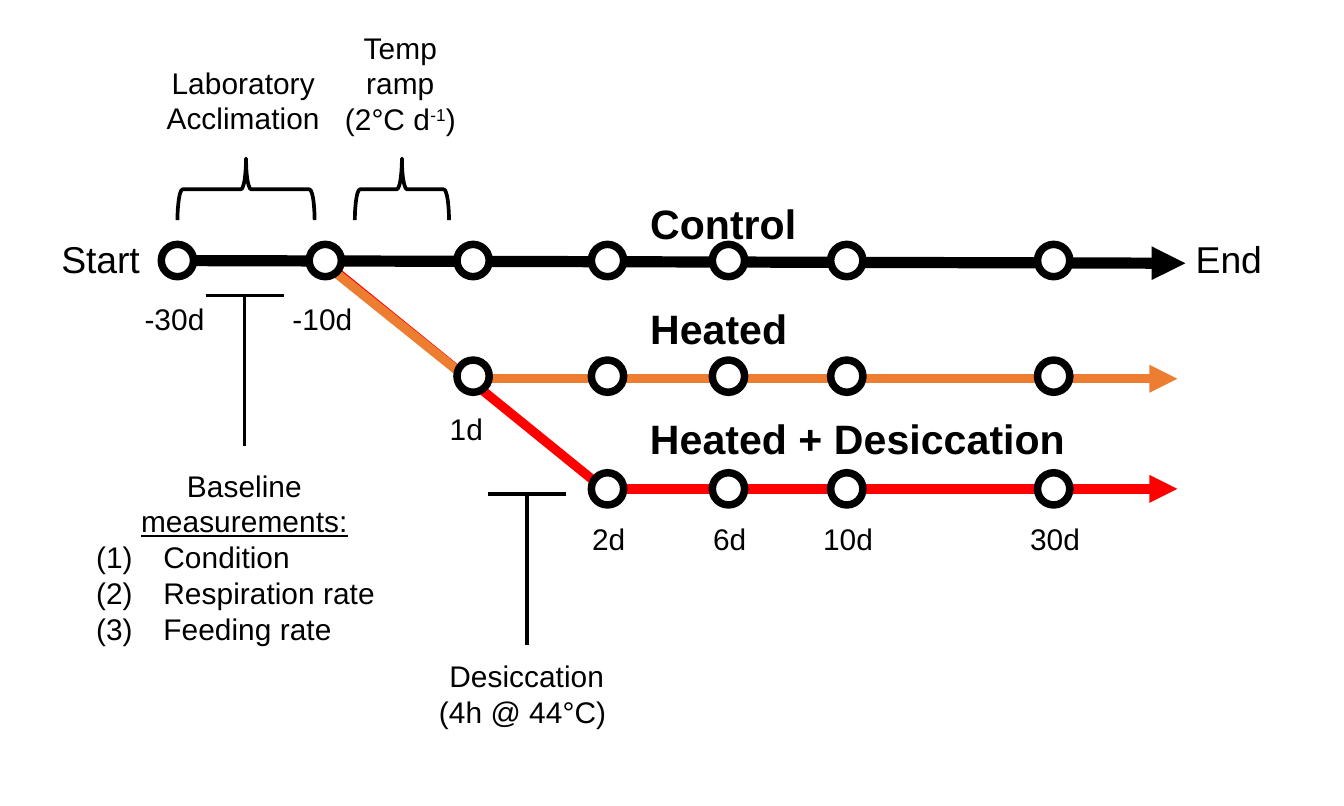
from pptx import Presentation
from pptx.dml.color import RGBColor
from pptx.enum.shapes import MSO_CONNECTOR as Connector, MSO_SHAPE as Shape
from pptx.enum.text import PP_ALIGN as Align
from pptx.oxml.ns import qn
from pptx.util import Inches, Pt
from lxml.etree import SubElement

BLACK = RGBColor(0x00, 0x00, 0x00)
WHITE = RGBColor(0xFF, 0xFF, 0xFF)
ORANGE = RGBColor(0xED, 0x7D, 0x31)
RED = RGBColor(0xFF, 0x00, 0x00)

NODE_SIZE = 0.12
ROW_Y = (0.97, 1.4, 1.82)
DAY_TOP, DAY_STEP = 1.07, 0.41
DAY_WIDTH, DAY_HEIGHT = 0.5, 0.24

# label, node centre, label centre, lowest row
DAYS = [
    ("-30d", 0.66, 0.65, 0),
    ("-10d", 1.21, 1.2, 0),
    ("1d", 1.76, 1.735, 1),
    ("2d", 2.26, 2.265, 2),
    ("6d", 2.71, 2.715, 2),
    ("10d", 3.15, 3.155, 2),
    ("30d", 3.92, 3.925, 2),
]
# start, end, colour, width, arrow
TRACKS = [
    ((2.24, 1.82), (4.38, 1.82), RED, 2.5, True),
    ((2.21, 1.79), (1.2, 0.97), RED, 2.5, False),
    ((0.6, 0.97), (4.41, 0.98), BLACK, 3, True),
    ((1.72, 1.41), (4.38, 1.41), ORANGE, 2.5, True),
    ((1.74, 1.41), (1.23, 1), ORANGE, 2.5, False),
]
MARKERS = [(0.91, 1.1), (1.96, 1.84)]
MARKER_HALF, MARKER_DROP = 0.145, 0.56
BRACES = [(0.8, 0.45, 0.23, 0.51), (1.38, 0.53, 0.23, 0.35)]

TREATMENT = {"size": Pt(11), "bold": True}
ENDPOINT = {"size": Pt(10)}
NOTE = {"size": Pt(8)}
HEADINGS = [
    ("Control", (2.32, 0.69, 0.75, 0.29), TREATMENT),
    ("Heated", (2.32, 1.08, 0.72, 0.29), TREATMENT),
    ("Heated + Desiccation", (2.32, 1.49, 1.76, 0.29), TREATMENT),
    ("Start", (0.13, 0.83, 0.5, 0.27), ENDPOINT),
    ("End", (4.35, 0.83, 0.45, 0.27), ENDPOINT),
]
PHASES = [
    ("Laboratory Acclimation", (0.43, 0.19, 0.95, 0.37)),
    ("Desiccation (4h @ 44°C) ", (1.5, 2.4, 0.92, 0.37)),
]
RAMP = ("Temp ramp (2°C d", "-1", ")")
RAMP_BOX = (1.16, 0.06, 0.66, 0.5)
BASELINE = ("Baseline ", "measurements:")
BASELINE_BOX = (0.26, 1.69, 1.3, 0.77)
MEASUREMENTS = ["Condition", "Respiration rate", "Feeding rate"]


def add_run(paragraph, wording, style):
    run = paragraph.add_run()
    run.text = wording
    run.font.color.rgb = BLACK
    for name, value in {"name": "Arial", **style}.items():
        setattr(run.font, name, value)
    return run


def add_text(slide, box, wordings, style, align=Align.CENTER, wrap=True):
    frame = slide.shapes.add_textbox(*map(Inches, box)).text_frame
    frame.word_wrap = wrap
    paragraph = frame.paragraphs[0]
    paragraph.alignment = align
    runs = [add_run(paragraph, wording, style) for wording in wordings]
    return frame, runs


def add_line(slide, start, end, color, width, arrow=False):
    line = slide.shapes.add_connector(
        Connector.STRAIGHT, *map(Inches, (*start, *end)))
    line.line.color.rgb = color
    line.line.width = Pt(width)
    if arrow:
        SubElement(line.line._get_or_add_ln(), qn("a:tailEnd"), type="triangle")
    SubElement(line._element.spPr, qn("a:effectLst"))


def add_outline(slide, kind, box, width):
    outline = slide.shapes.add_shape(kind, *map(Inches, box))
    outline.shadow.inherit = False
    outline.line.color.rgb = BLACK
    outline.line.width = Pt(width)
    return outline


def add_measurements(frame):
    for measurement in MEASUREMENTS:
        paragraph = frame.add_paragraph()
        add_run(paragraph, measurement, NOTE)
        properties = paragraph._p.get_or_add_pPr()
        properties.set("marL", str(Inches(0.25)))
        properties.set("indent", str(-Inches(0.25)))
        SubElement(properties, qn("a:buFont"), typeface="Arial")
        SubElement(properties, qn("a:buAutoNum"), type="arabicParenBoth")


def main():
    deck = Presentation()
    deck.slide_width, deck.slide_height = Inches(5), Inches(3)
    slide = deck.slides.add_slide(deck.slide_layouts[6])

    for track in TRACKS:
        add_line(slide, *track)
    for x, y in MARKERS:
        add_line(slide, (x, y), (x, y + MARKER_DROP), BLACK, 1)
        add_line(slide, (x - MARKER_HALF, y), (x + MARKER_HALF, y), BLACK, 1)
    for box in BRACES:
        brace = add_outline(slide, Shape.LEFT_BRACE, box, 1)
        brace.fill.background()
        brace.rotation = 90

    for wording, box, style in HEADINGS:
        add_text(slide, box, [wording], style, Align.LEFT, False)
    for wording, box in PHASES:
        add_text(slide, box, [wording], NOTE)
    _, ramp_runs = add_text(slide, RAMP_BOX, RAMP, NOTE)
    ramp_runs[1]._r.get_or_add_rPr().set("baseline", "30000")
    frame, baseline_runs = add_text(slide, BASELINE_BOX, BASELINE, NOTE)
    baseline_runs[1].font.underline = True
    add_measurements(frame)

    for day, node_x, day_x, lowest in DAYS:
        for y in ROW_Y[:lowest + 1]:
            corner = (node_x - NODE_SIZE / 2, y - NODE_SIZE / 2)
            node = add_outline(
                slide, Shape.OVAL, (*corner, NODE_SIZE, NODE_SIZE), 2)
            node.fill.solid()
            node.fill.fore_color.rgb = WHITE
        box = (day_x - DAY_WIDTH / 2, DAY_TOP + DAY_STEP * lowest,
               DAY_WIDTH, DAY_HEIGHT)
        add_text(slide, box, [day], NOTE)

    deck.save("out.pptx")


if __name__ == "__main__":
    main()
